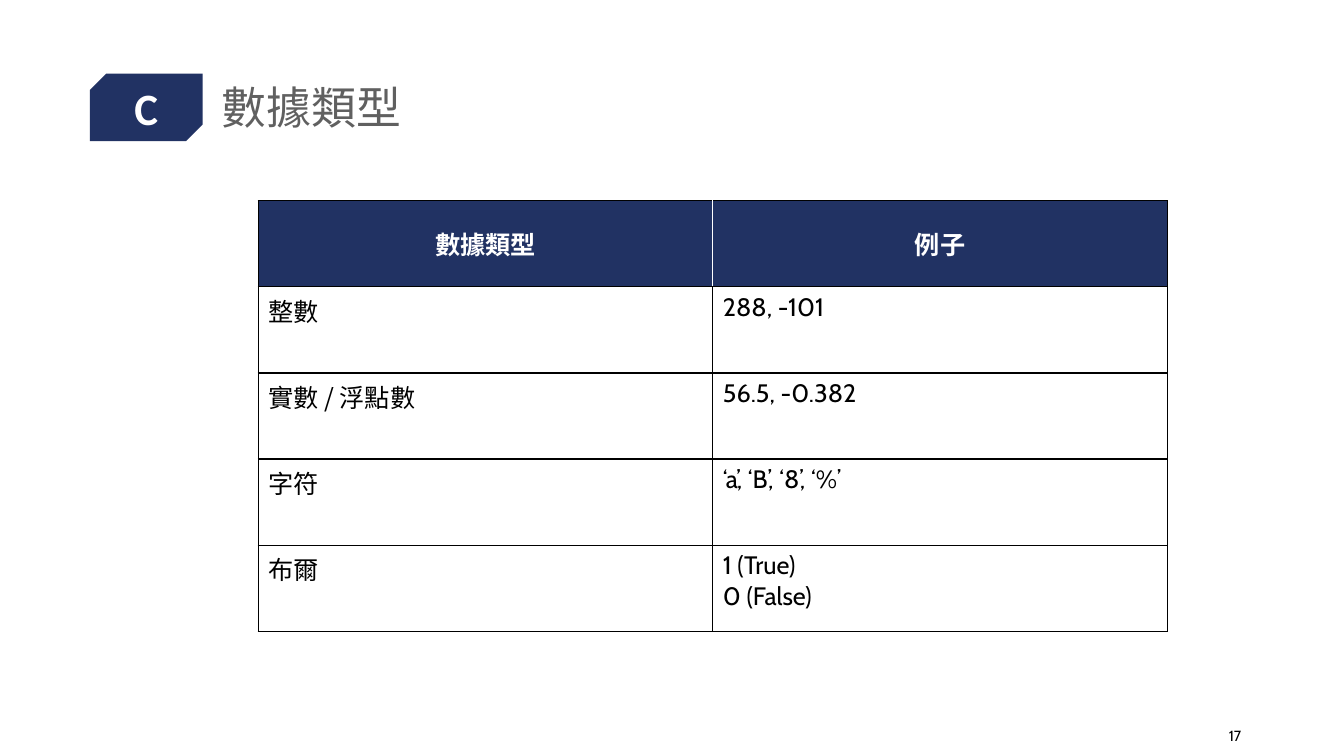
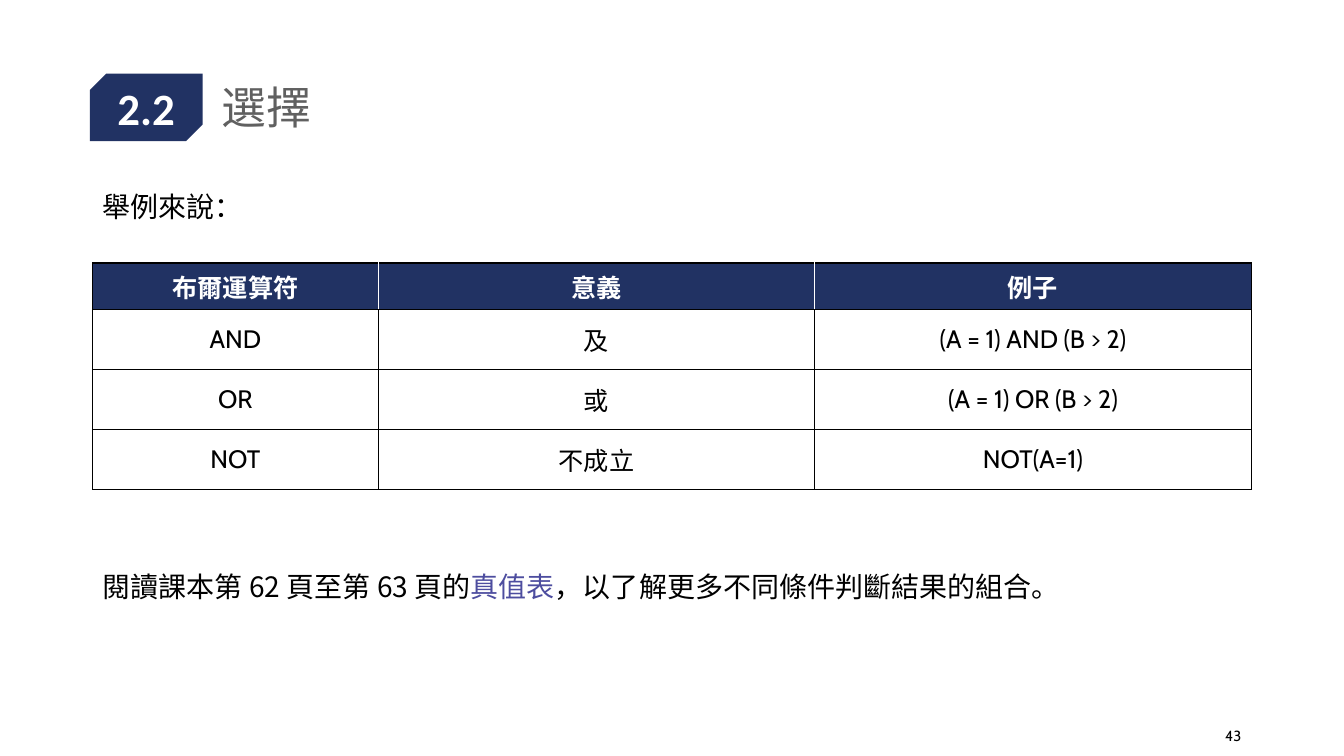
from dataclasses import dataclass

import pptx
import pptx.dml.color
import pptx.enum.shapes
import pptx.enum.text
import pptx.oxml
import pptx.oxml.ns
import pptx.util

Inches = pptx.util.Inches
ALIGN = pptx.enum.text.PP_ALIGN
ANCHOR = pptx.enum.text.MSO_ANCHOR


@dataclass(frozen=True)
class Theme:
    navy: str = "213263"
    grey: str = "606060"
    black: str = "000000"
    white: str = "FFFFFF"
    violet: str = "4D4D9F"
    chinese: str = "Noto Sans CJK TC"
    latin: str = "Cabin"
    badge_font: str = "Calibri"
    heading: float = 32
    body: float = 20
    cell: float = 18
    page: float = 10.5
    border: float = 1


THEME = Theme()
CONTENT_LEFT, CONTENT_WIDTH = 0.92, 11.5


def rgb(value):
    return pptx.dml.color.RGBColor.from_string(value)


def add_run(paragraph, text, size, color, font=None, bold=False):
    """Add one run; without a font, pick the one that suits its script."""
    if font is None:
        has_chinese = any("\u4e00" <= letter <= "\u9fff" for letter in text)
        font = THEME.chinese if has_chinese else THEME.latin
    run = paragraph.add_run()
    run.text = text
    run.font.size = pptx.util.Pt(size)
    run.font.bold = bold
    run.font.color.rgb = rgb(color)
    run.font.name = font
    east_asian = pptx.oxml.parse_xml(
        f'<a:ea {pptx.oxml.ns.nsdecls("a")} typeface="{THEME.chinese}"/>')
    run.font._element.find(pptx.oxml.ns.qn("a:latin")).addnext(east_asian)


def add_text_box(slide, box, anchor=ANCHOR.TOP):
    frame = slide.shapes.add_textbox(*map(Inches, box)).text_frame
    frame.word_wrap = True
    frame.vertical_anchor = anchor
    return frame


def add_badge(slide, label, box):
    badge = slide.shapes.add_shape(
        pptx.enum.shapes.MSO_SHAPE.SNIP_2_DIAG_RECTANGLE, *map(Inches, box))
    badge.adjustments[0], badge.adjustments[1] = 0.245, 0
    badge.shadow.inherit = False
    badge.fill.solid()
    badge.fill.fore_color.rgb = rgb(THEME.navy)
    badge.line.fill.background()
    frame = badge.text_frame
    frame.margin_left = frame.margin_right = 0
    frame.margin_top = frame.margin_bottom = 0
    frame.word_wrap = False
    frame.vertical_anchor = ANCHOR.MIDDLE
    frame.paragraphs[0].alignment = ALIGN.CENTER
    add_run(frame.paragraphs[0], label, THEME.heading, THEME.white,
            THEME.badge_font, bold=True)


def add_titled_slide(deck, section, heading, page):
    """Start a slide with the shared badge, title and page number."""
    slide = deck.slides.add_slide(deck.slide_layouts[5])
    add_badge(slide, section, (0.89, 0.73, 1.12, 0.67))

    # Title
    title = slide.shapes.title
    title.left, title.top, title.width, title.height = map(
        Inches, (2.1, 0.4, 10.32, 1.38))
    title.text_frame.vertical_anchor = ANCHOR.MIDDLE
    paragraph = title.text_frame.paragraphs[0]
    paragraph.alignment = ALIGN.LEFT
    paragraph.line_spacing = 0.9
    add_run(paragraph, heading, THEME.heading, THEME.grey)

    # Page number
    number = add_text_box(slide, (11.57, 7.1, 0.84, 0.4), ANCHOR.MIDDLE)
    number.paragraphs[0].alignment = ALIGN.RIGHT
    add_run(number.paragraphs[0], page, THEME.page, THEME.black)
    return slide


def set_borders(cell, left, right):
    """Draw all four cell borders; only the side colours vary."""
    sides = {"L": left, "R": right, "T": THEME.black, "B": THEME.black}
    properties = cell._tc.get_or_add_tcPr()
    for index, (side, color) in enumerate(sides.items()):
        width = pptx.util.Pt(THEME.border)
        properties.insert(index, pptx.oxml.parse_xml(
            f'<a:ln{side} {pptx.oxml.ns.nsdecls("a")} w="{width}">'
            f'<a:solidFill><a:srgbClr val="{color}"/></a:solidFill>'
            f'</a:ln{side}>'))


def fill_cell(cell, text, is_header, centred):
    if is_header:
        cell.fill.solid()
        cell.fill.fore_color.rgb = rgb(THEME.navy)
    else:
        cell.fill.background()
    cell.vertical_anchor = ANCHOR.MIDDLE if centred else ANCHOR.TOP
    frame = cell.text_frame
    for index, line in enumerate(text.split("\n")):
        paragraph = frame.add_paragraph() if index else frame.paragraphs[0]
        paragraph.alignment = ALIGN.CENTER if centred else ALIGN.LEFT
        add_run(paragraph, line, THEME.cell,
                THEME.white if is_header else THEME.black, bold=is_header)


def add_grid(slide, left, top, widths, heights, rows, centre_body):
    """Place a table with a navy header row and plain body rows."""
    grid = slide.shapes.add_table(
        len(rows), len(widths), Inches(left), Inches(top),
        Inches(sum(widths)), Inches(sum(heights))).table
    grid.horz_banding = False
    for column, width in zip(grid.columns, widths):
        column.width = Inches(width)
    last = len(widths) - 1
    for row_index, (texts, height) in enumerate(zip(rows, heights)):
        grid.rows[row_index].height = Inches(height)
        is_header = row_index == 0
        inner = THEME.white if is_header else THEME.black
        for column_index, text in enumerate(texts):
            cell = grid.cell(row_index, column_index)
            fill_cell(cell, text, is_header, is_header or centre_body)
            set_borders(cell, inner if column_index else THEME.black,
                        inner if column_index < last else THEME.black)


def add_statement(slide, top, parts):
    """Write one line of body text from (text, colour) parts."""
    frame = add_text_box(slide, (CONTENT_LEFT, top, CONTENT_WIDTH, 0.6))
    paragraph = frame.paragraphs[0]
    paragraph.line_spacing = 1.2
    for text, color in parts:
        add_run(paragraph, text, THEME.body, color, THEME.chinese)


def build_data_types(deck):
    slide = add_titled_slide(deck, "C", "數據類型", "17")
    rows = [
        ("數據類型", "例子"),
        ("整數", "288, -101"),
        ("實數 / 浮點數", "56.5, -0.382"),
        ("字符", "‘a’, ‘B’, ‘8’, ‘%’"),
        ("布爾", "1 (True)\n0 (False)"),
    ]
    add_grid(slide, 2.56, 1.99, [4.51] * 2, [0.855] * len(rows), rows,
             centre_body=False)


def build_selection(deck):
    slide = add_titled_slide(deck, "2.2", "選擇", "43")
    add_statement(slide, 1.76, [("舉例來說：", THEME.black)])
    rows = [
        ("布爾運算符", "意義", "例子"),
        ("AND", "及", "(A = 1) AND (B > 2)"),
        ("OR", "或", "(A = 1) OR (B > 2)"),
        ("NOT", "不成立", "NOT(A=1)"),
    ]
    add_grid(slide, CONTENT_LEFT, 2.61, [2.83, 4.33, 4.33],
             [0.46] + [0.595] * 3, rows, centre_body=True)
    add_statement(slide, 5.53, [
        ("閱讀課本第 62 頁至第 63 頁的", THEME.black),
        ("真值表", THEME.violet),
        ("，以了解更多不同條件判斷結果的組合。", THEME.black),
    ])


def main():
    deck = pptx.Presentation()
    deck.slide_width, deck.slide_height = Inches(13.33), Inches(7.5)
    build_data_types(deck)
    build_selection(deck)
    deck.save("out.pptx")


if __name__ == "__main__":
    main()
